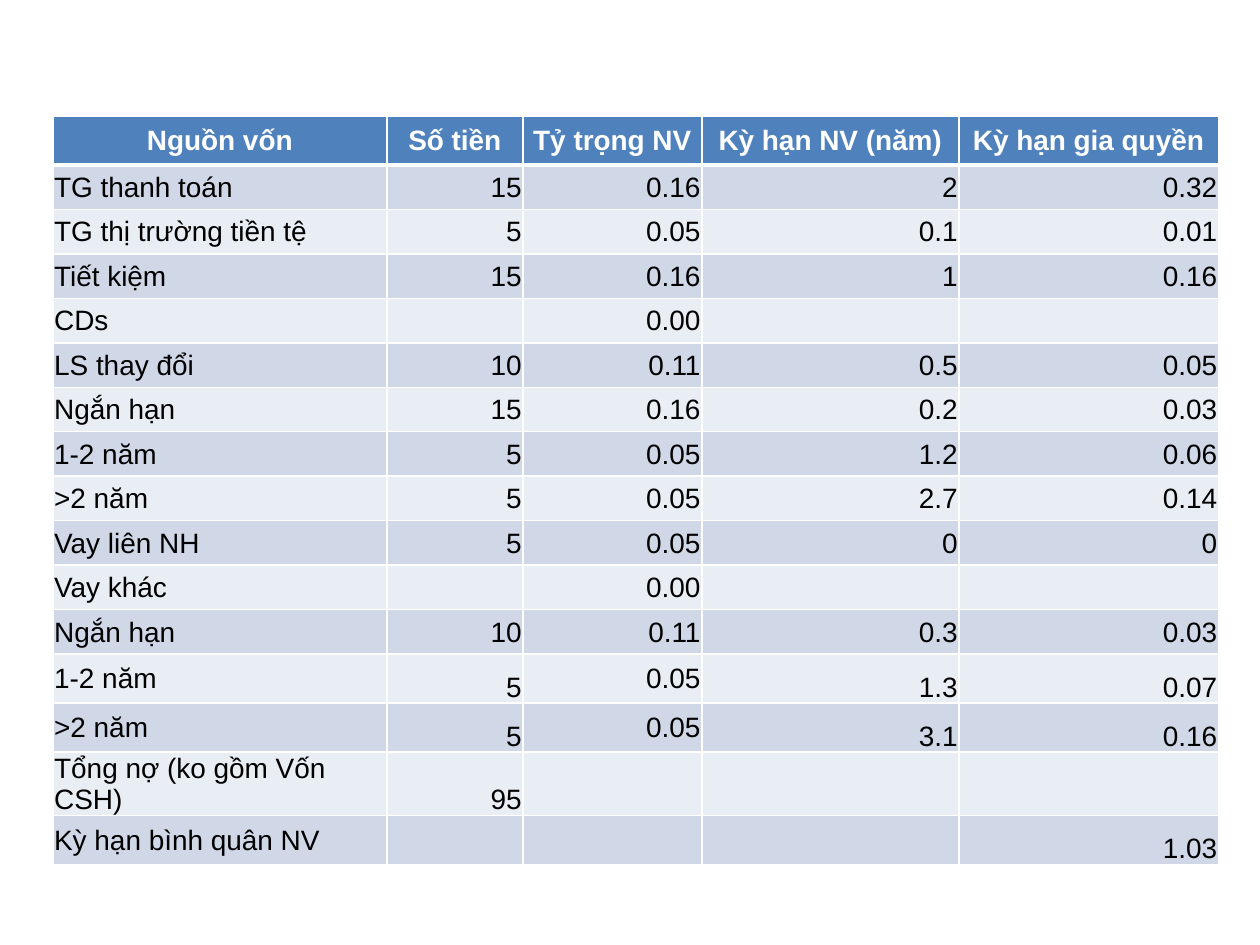
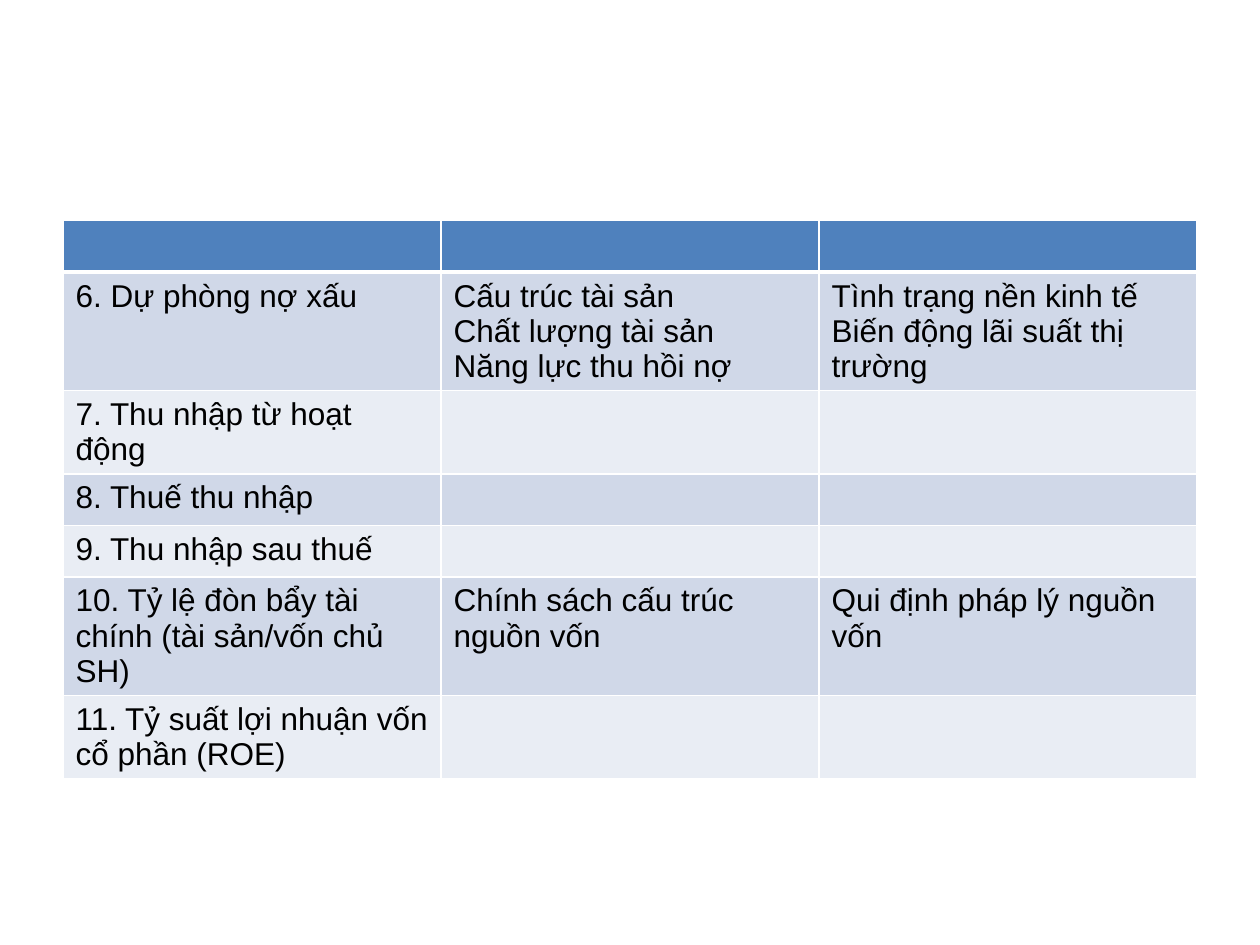
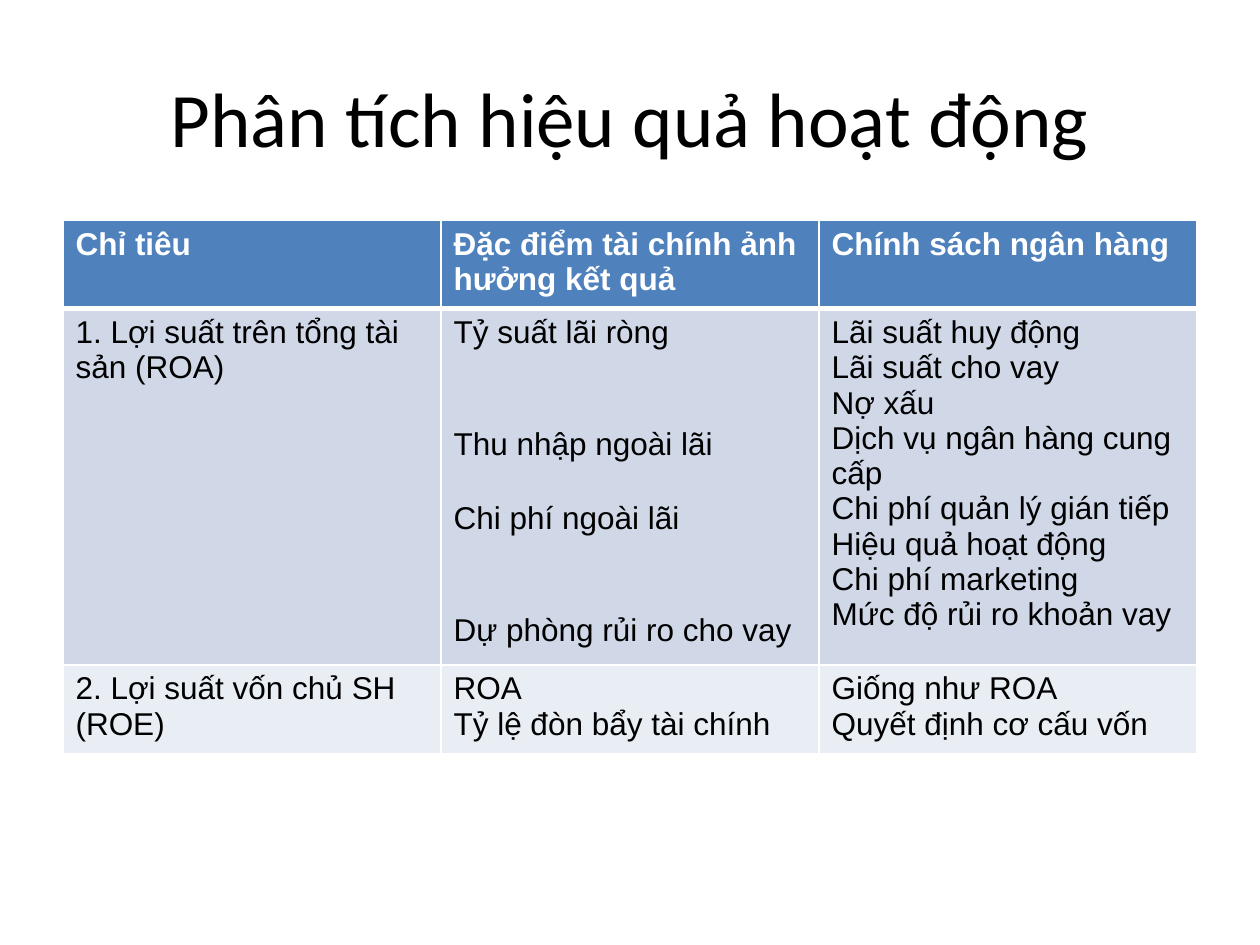
import dataclasses
import typing

import lxml.etree
import pptx
import pptx.dml.color
import pptx.enum.text
import pptx.oxml.ns
import pptx.slide
import pptx.table
import pptx.text.text
import pptx.util

COLORS = {
    "text": "000000",
    "header text": "FFFFFF",
    "border": "FFFFFF",
    "header": "4F81BD",
    "odd row": "D0D8E8",
    "even row": "E9EDF4",
}
ALIGN = pptx.enum.text.PP_ALIGN
ANCHOR = pptx.enum.text.MSO_ANCHOR
Row = tuple[str, ...]

# The slide is a grid of 100 columns and 75 rows of equal size.
GRID_COLUMNS, GRID_ROWS = 100, 75
UNIT = pptx.util.Inches(10) // GRID_COLUMNS
MARGIN = 5
TABLE_TOP = 17.5
THIN, THICK = 1, 3


@dataclasses.dataclass(frozen=True)
class TextStyle:
    size: int
    font: str = "Arial"
    color: str = "text"
    bold: bool = False


@dataclasses.dataclass(frozen=True)
class TableStyle:
    size: int = 18
    header_align: ALIGN = ALIGN.LEFT
    value_align: ALIGN = ALIGN.LEFT
    anchor: ANCHOR = ANCHOR.TOP
    insets: tuple[float, float, float, float] = (0.1, 0.05, 0.1, 0.05)


@dataclasses.dataclass(frozen=True)
class TableSpec:
    """Places and sizes are in grid units; space_before maps a paragraph to points."""
    left: float
    top: float
    column_widths: tuple[float, ...]
    row_heights: tuple[float, ...]
    rows: list[Row]
    style: TableStyle = TableStyle()
    bottom_cells: frozenset[tuple[int, int]] = frozenset()
    space_before: dict[str, int] = dataclasses.field(default_factory=dict)


TITLE_STYLE = TextStyle(44, "Calibri")
FIGURES_STYLE = TableStyle(16, ALIGN.CENTER, ALIGN.RIGHT, ANCHOR.MIDDLE, (0.01, 0.01, 0.01, 0))

FUNDING_ROWS: list[Row] = [
    ("Nguồn vốn", "Số tiền", "Tỷ trọng NV", "Kỳ hạn NV (năm)", "Kỳ hạn gia quyền"),
    ("TG thanh toán", "15", "0.16", "2", "0.32"),
    ("TG thị trường tiền tệ", "5", "0.05", "0.1", "0.01"),
    ("Tiết kiệm", "15", "0.16", "1", "0.16"),
    ("CDs", "", "0.00", "", ""),
    ("LS thay đổi", "10", "0.11", "0.5", "0.05"),
    ("Ngắn hạn", "15", "0.16", "0.2", "0.03"),
    ("1-2 năm", "5", "0.05", "1.2", "0.06"),
    (">2 năm", "5", "0.05", "2.7", "0.14"),
    ("Vay liên NH", "5", "0.05", "0", "0"),
    ("Vay khác", "", "0.00", "", ""),
    ("Ngắn hạn", "10", "0.11", "0.3", "0.03"),
    ("1-2 năm", "5", "0.05", "1.3", "0.07"),
    (">2 năm", "5", "0.05", "3.1", "0.16"),
    ("Tổng nợ (ko gồm Vốn CSH)", "95", "", "", ""),
    ("Kỳ hạn bình quân NV", "", "", "", "1.03"),
]

INCOME_ROWS: list[Row] = [
    ("", "", ""),
    ("6. Dự phòng nợ xấu",
     "Cấu trúc tài sản\nChất lượng tài sản\nNăng lực thu hồi nợ",
     "Tình trạng nền kinh tế\nBiến động lãi suất thị trường"),
    ("7. Thu nhập từ hoạt động", "", ""),
    ("8. Thuế thu nhập", "", ""),
    ("9. Thu nhập sau thuế", "", ""),
    ("10. Tỷ lệ đòn bẩy tài chính (tài sản/vốn chủ SH)",
     "Chính sách cấu trúc nguồn vốn",
     "Qui định pháp lý nguồn vốn"),
    ("11. Tỷ suất lợi nhuận vốn cổ phần (ROE)", "", ""),
]

PERFORMANCE_ROWS: list[Row] = [
    ("Chỉ tiêu", "Đặc điểm tài chính ảnh hưởng kết quả", "Chính sách ngân hàng"),
    ("1. Lợi suất trên tổng tài sản (ROA)",
     "Tỷ suất lãi ròng\nThu nhập ngoài lãi\nChi phí ngoài lãi\nDự phòng rủi ro cho vay",
     "Lãi suất huy động\nLãi suất cho vay\nNợ xấu\nDịch vụ ngân hàng cung cấp\n"
     "Chi phí quản lý gián tiếp\nHiệu quả hoạt động\nChi phí marketing\n"
     "Mức độ rủi ro khoản vay"),
    ("2. Lợi suất vốn chủ SH (ROE)",
     "ROA\nTỷ lệ đòn bẩy tài chính",
     "Giống như ROA\nQuyết định cơ cấu vốn"),
]
PERFORMANCE_GAPS = {
    "Thu nhập ngoài lãi": 44,
    "Chi phí ngoài lãi": 22,
    "Dự phòng rủi ro cho vay": 44,
}


def grid(units: float) -> pptx.util.Emu:
    return pptx.util.Emu(round(units * UNIT))


def rgb(name: str) -> pptx.dml.color.RGBColor:
    return pptx.dml.color.RGBColor.from_string(COLORS[name])


def write_text(frame: pptx.text.text.TextFrame, text: str, style: TextStyle, align: ALIGN,
               space_before: typing.Optional[dict[str, int]] = None) -> None:
    """Write each line of the text as one paragraph."""
    for index, line in enumerate(text.split("\n")):
        paragraph = frame.add_paragraph() if index else frame.paragraphs[0]
        paragraph.alignment = align
        if space_before and line in space_before:
            paragraph.space_before = pptx.util.Pt(space_before[line])
        if line:
            run = paragraph.add_run()
            run.text = line
            run.font.name = style.font
            run.font.size = pptx.util.Pt(style.size)
            run.font.bold = style.bold
            run.font.color.rgb = rgb(style.color)


def set_borders(cell: pptx.table._Cell, top: int, bottom: int) -> None:
    properties = cell._tc.get_or_add_tcPr()
    widths = {"lnL": THIN, "lnR": THIN, "lnT": top, "lnB": bottom}
    for index, (edge, width) in enumerate(widths.items()):
        line = lxml.etree.Element(pptx.oxml.ns.qn(f"a:{edge}"), w=str(pptx.util.Pt(width)))
        fill = lxml.etree.SubElement(line, pptx.oxml.ns.qn("a:solidFill"))
        lxml.etree.SubElement(fill, pptx.oxml.ns.qn("a:srgbClr"), val=COLORS["border"])
        properties.insert(index, line)


def fill_cell(cell: pptx.table._Cell, spec: TableSpec, row: int, column: int) -> None:
    style = spec.style
    is_header = row == 0
    if is_header:
        background, align = "header", style.header_align
        text_style = TextStyle(style.size, color="header text", bold=True)
    else:
        background = "odd row" if row % 2 else "even row"
        align = style.value_align if column else ALIGN.LEFT
        text_style = TextStyle(style.size)

    cell.fill.solid()
    cell.fill.fore_color.rgb = rgb(background)
    set_borders(cell, THICK if row == 1 else THIN, THICK if is_header else THIN)
    cell.vertical_anchor = ANCHOR.BOTTOM if (row, column) in spec.bottom_cells else style.anchor
    cell.margin_left, cell.margin_top, cell.margin_right, cell.margin_bottom = map(
        pptx.util.Inches, style.insets)
    write_text(cell.text_frame, spec.rows[row][column], text_style, align, spec.space_before)


def draw_table(slide: pptx.slide.Slide, spec: TableSpec) -> None:
    table = slide.shapes.add_table(
        len(spec.row_heights), len(spec.column_widths),
        grid(spec.left), grid(spec.top),
        grid(sum(spec.column_widths)), grid(sum(spec.row_heights))).table
    for column, width in zip(table.columns, spec.column_widths):
        column.width = grid(width)
    for row, height in zip(table.rows, spec.row_heights):
        row.height = grid(height)
    for row in range(len(spec.row_heights)):
        for column in range(len(spec.column_widths)):
            fill_cell(table.cell(row, column), spec, row, column)


def draw_title(slide: pptx.slide.Slide, text: str) -> None:
    box = slide.shapes.add_textbox(
        grid(MARGIN), grid(3), grid(GRID_COLUMNS - 2 * MARGIN), grid(12.5))
    box.text_frame.word_wrap = True
    box.text_frame.vertical_anchor = ANCHOR.MIDDLE
    write_text(box.text_frame, text, TITLE_STYLE, ALIGN.CENTER)


def criteria_table(rows: list[Row],
                   space_before: typing.Optional[dict[str, int]] = None) -> TableSpec:
    """Three equal columns between the slide margins; rows grow with their text."""
    column_width = (GRID_COLUMNS - 2 * MARGIN) / 3
    return TableSpec(MARGIN, TABLE_TOP, (column_width,) * 3, (4.1,) * len(rows), rows,
                     space_before=space_before or {})


def funding_table() -> TableSpec:
    tall_rows = range(12, len(FUNDING_ROWS))
    return TableSpec(
        4.2, 9.2, (26.5, 10.8, 14.2, 20.4, 20.6),
        (3.9,) + (3.53,) * 11 + (3.9,) * len(tall_rows),
        FUNDING_ROWS, FIGURES_STYLE,
        frozenset((row, column) for row in tall_rows for column in (1, 3, 4)))


def main() -> None:
    presentation = pptx.Presentation()
    presentation.slide_width = grid(GRID_COLUMNS)
    presentation.slide_height = grid(GRID_ROWS)
    blank_layout = presentation.slide_layouts[6]

    slides: list[tuple[str, TableSpec]] = [
        ("", funding_table()),
        ("", criteria_table(INCOME_ROWS)),
        ("Phân tích hiệu quả hoạt động", criteria_table(PERFORMANCE_ROWS, PERFORMANCE_GAPS)),
    ]
    for title, spec in slides:
        slide = presentation.slides.add_slide(blank_layout)
        if title:
            draw_title(slide, title)
        draw_table(slide, spec)

    presentation.save("out.pptx")


if __name__ == "__main__":
    main()
